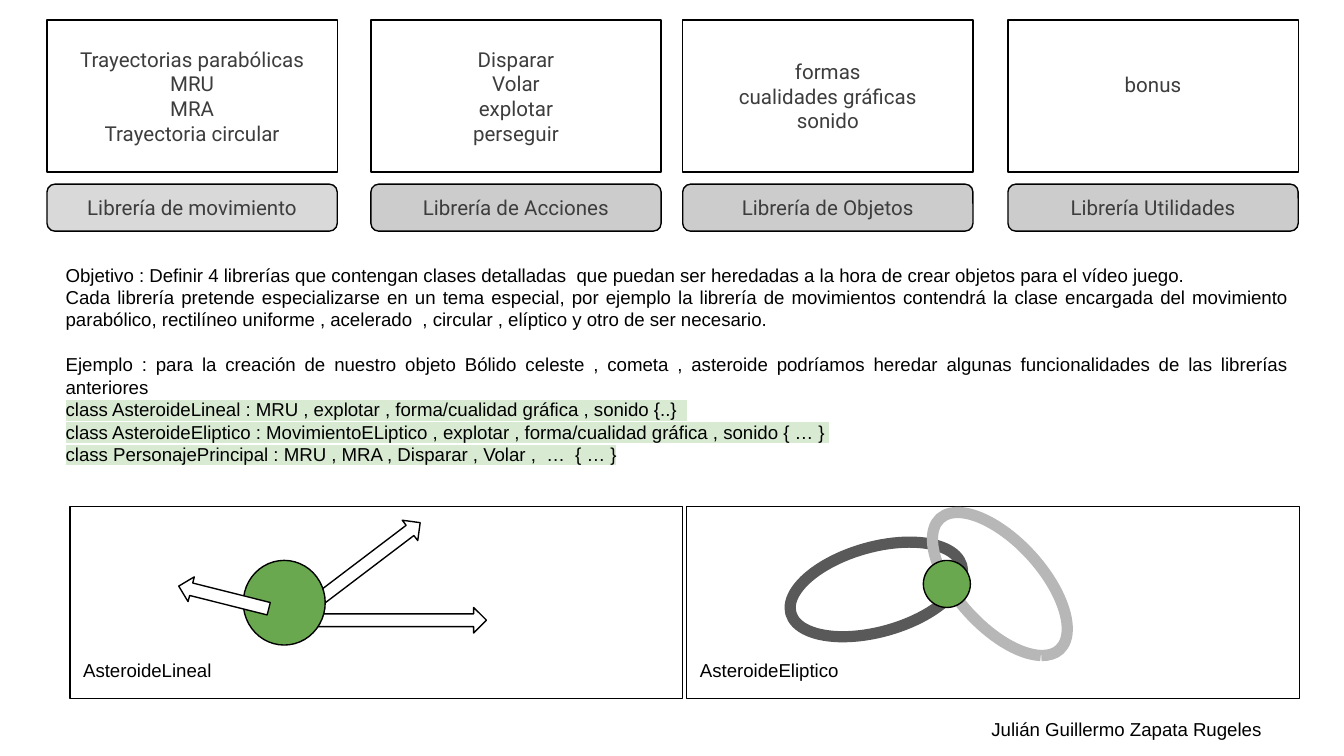
import pptx
import pptx.util
import pptx.dml.color
import pptx.enum.shapes
import pptx.enum.text
from lxml import etree

Inches = pptx.util.Inches
Pt = pptx.util.Pt
Kind = pptx.enum.shapes.MSO_SHAPE
Align = pptx.enum.text.PP_ALIGN
Anchor = pptx.enum.text.MSO_ANCHOR
NS = "http://schemas.openxmlformats.org/drawingml/2006/main"

ROBOTO = {"size": Pt(11), "name": "Roboto"}
ARIAL = {"size": Pt(10), "name": "Arial"}
INSETS = {"margin_left": Inches(0.1), "margin_right": Inches(0.1),
          "margin_top": Inches(0.1), "margin_bottom": Inches(0.1),
          "word_wrap": True, "auto_size": pptx.enum.text.MSO_AUTO_SIZE.NONE}

LIBS = [
    (0.35, "D9D9D9", "Librería de movimiento",
     ["Trayectorias parabólicas", "MRU", "MRA", "Trayectoria circular"], 0.1),
    (2.76, "CCCCCC", "Librería de Acciones",
     ["Disparar", "Volar", "explotar", "perseguir"], 0.1),
    (5.08, "CCCCCC", "Librería de Objetos",
     ["formas", "cualidades gráficas", "sonido"], 0.1),
    (7.5, "CCCCCC", "Librería Utilidades", ["bonus"], 0.28),
]
GOALS = [
    "Objetivo : Definir 4 librerías que contengan clases detalladas  que puedan "
    "ser heredadas a la hora de crear objetos para el vídeo juego.",
    "Cada librería pretende especializarse en un tema especial, por ejemplo la "
    "librería de movimientos contendrá la clase encargada del movimiento "
    "parabólico, rectilíneo uniforme , acelerado  , circular , elíptico y otro "
    "de ser necesario.",
    "Ejemplo : para la creación de nuestro objeto Bólido celeste , cometa , "
    "asteroide podríamos heredar algunas funcionalidades de las librerías "
    "anteriores",
]
CODE = [
    "class AsteroideLineal : MRU , explotar , forma/cualidad gráfica , sonido {..}  ",
    "class AsteroideEliptico : MovimientoELiptico , explotar , "
    "forma/cualidad gráfica , sonido { … } ",
    "class PersonajePrincipal : MRU , MRA , Disparar , Volar ,  …  { … }",
]


def tint(code):
    """Turn a hex string into a colour."""
    return pptx.dml.color.RGBColor.from_string(code)


def apply(item, values):
    """Set every attribute in a dict of format values."""
    for name, value in values.items():
        setattr(item, name, value)


def write(shape, lines, font, color="000000", align=Align.LEFT, **frame):
    """Fill a shape with one paragraph per line and return the paragraphs."""
    text = shape.text_frame
    apply(text, {**INSETS, **frame})
    paras = []
    for i, line in enumerate(lines):
        para = text.add_paragraph() if i else text.paragraphs[0]
        para.alignment = align
        run = para.add_run()
        run.text = line
        apply(run.font, font)
        run.font.color.rgb = tint(color)
        paras.append(para)
    return paras


def label(slide, box, lines, align=Align.LEFT):
    """Add a text box in Arial."""
    area = slide.shapes.add_textbox(*map(Inches, box))
    return write(area, lines, ARIAL, align=align)


def draw(slide, kind, box, fill=None, line="000000", width=0.75, turn=0, adj=()):
    """Add a preset shape with its fill, line, turn and adjustments."""
    shape = slide.shapes.add_shape(kind, *map(Inches, box))
    shape.shadow.inherit = False
    if fill:
        shape.fill.solid()
        shape.fill.fore_color.rgb = tint(fill)
    else:
        shape.fill.background()
    shape.line.color.rgb = tint(line)
    shape.line.width = Pt(width)
    shape.rotation = turn
    for i, value in enumerate(adj):
        shape.adjustments[i] = value
    return shape


def frame(slide, box):
    """Draw a white box with square corners."""
    return draw(slide, Kind.ROUNDED_RECTANGLE, box, "FFFFFF", adj=(0,))


def library(slide, box, fill, title, items, low):
    """Draw a list of topics above the name of its library."""
    x, y, w, h = box
    style = {"font": ROBOTO, "color": "3D3D3D", "align": Align.CENTER,
             "vertical_anchor": Anchor.MIDDLE}
    name = draw(slide, Kind.ROUNDED_RECTANGLE, (x, y + h - 0.35, w, 0.35), fill)
    write(name, [title], **style)
    topics = frame(slide, (x, y, w, h - 0.44))
    write(topics, items, **style, margin_bottom=Inches(low))


def goals(slide, box):
    """Write the aim and the example with its marked class lines."""
    paras = label(slide, box, GOALS + CODE, Align.JUSTIFY)
    paras[2].space_before = Pt(12)
    for para in paras[len(GOALS):]:
        mark = etree.Element(f"{{{NS}}}highlight")
        etree.SubElement(mark, f"{{{NS}}}srgbClr", val="D9EAD3")
        props = para.runs[0].font.fill._xPr
        props.find(f"{{{NS}}}solidFill").addnext(mark)


def panel(slide, box, title):
    """Draw a framed panel with its title at the bottom left."""
    x, y, w, h = box
    frame(slide, box)
    label(slide, (x, y + h - 0.4, 3.09, 0.35), [title])


def linear(slide, box):
    """Draw the asteroid that moves along straight lines."""
    x, y = box[:2]
    panel(slide, box, "AsteroideLineal")

    def arrow(dx, dy, w, turn):
        """Draw one motion arrow."""
        draw(slide, Kind.RIGHT_ARROW, (x + dx, y + dy, w, 0.19), "FFFFFF", turn=turn)

    arrow(1.8, 0.75, 1.3, 0)
    arrow(1.43, 0.42, 1.31, 322.8)
    draw(slide, Kind.OVAL, (x + 1.29, y + 0.4, 0.61, 0.63), "6AA84F")
    arrow(0.8, 0.58, 0.69, 194.1)


def elliptic(slide, box):
    """Draw the asteroid where two elliptic orbits meet."""
    x, y = box[:2]
    panel(slide, box, "AsteroideEliptico")
    for dx, dy, turn, color in ((0.75, 0.3, 164.3, "595959"),
                                (1.67, 0.26, 227.7, "B7B7B7")):
        draw(slide, Kind.ARC, (x + dx, y + dy, 1.32, 0.63), line=color,
             width=6, turn=turn, adj=(115.53, 115.34))
    draw(slide, Kind.OVAL, (x + 1.76, y + 0.4, 0.35, 0.35), "6AA84F")


def main():
    """Build and save the slide."""
    deck = pptx.Presentation()
    wide = Inches(10)
    apply(deck, {"slide_width": wide, "slide_height": wide * 9 // 16})
    slide = deck.slides.add_slide(deck.slide_layouts[6])
    for x, *parts in LIBS:
        library(slide, (x, 0.15, 2.16, 1.57), *parts)
    goals(slide, (0.39, 1.86, 9.28, 1.91))
    linear(slide, (0.52, 3.77, 4.56, 1.43))
    elliptic(slide, (5.11, 3.77, 4.56, 1.43))
    label(slide, (6.87, 5.24, 3.02, 0.28), ["Julián Guillermo Zapata Rugeles"],
          Align.CENTER)
    deck.save("out.pptx")


if __name__ == "__main__":
    main()
